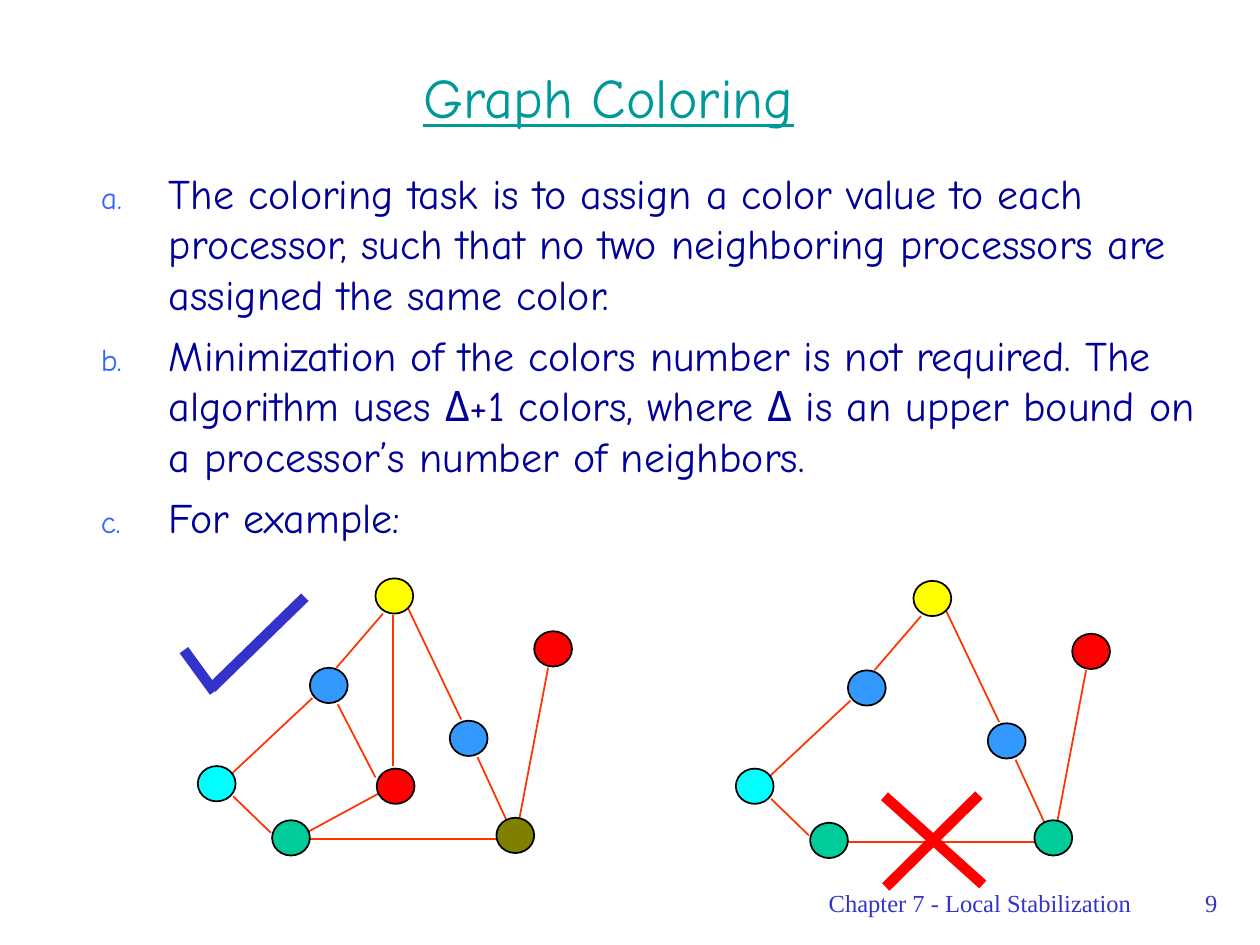
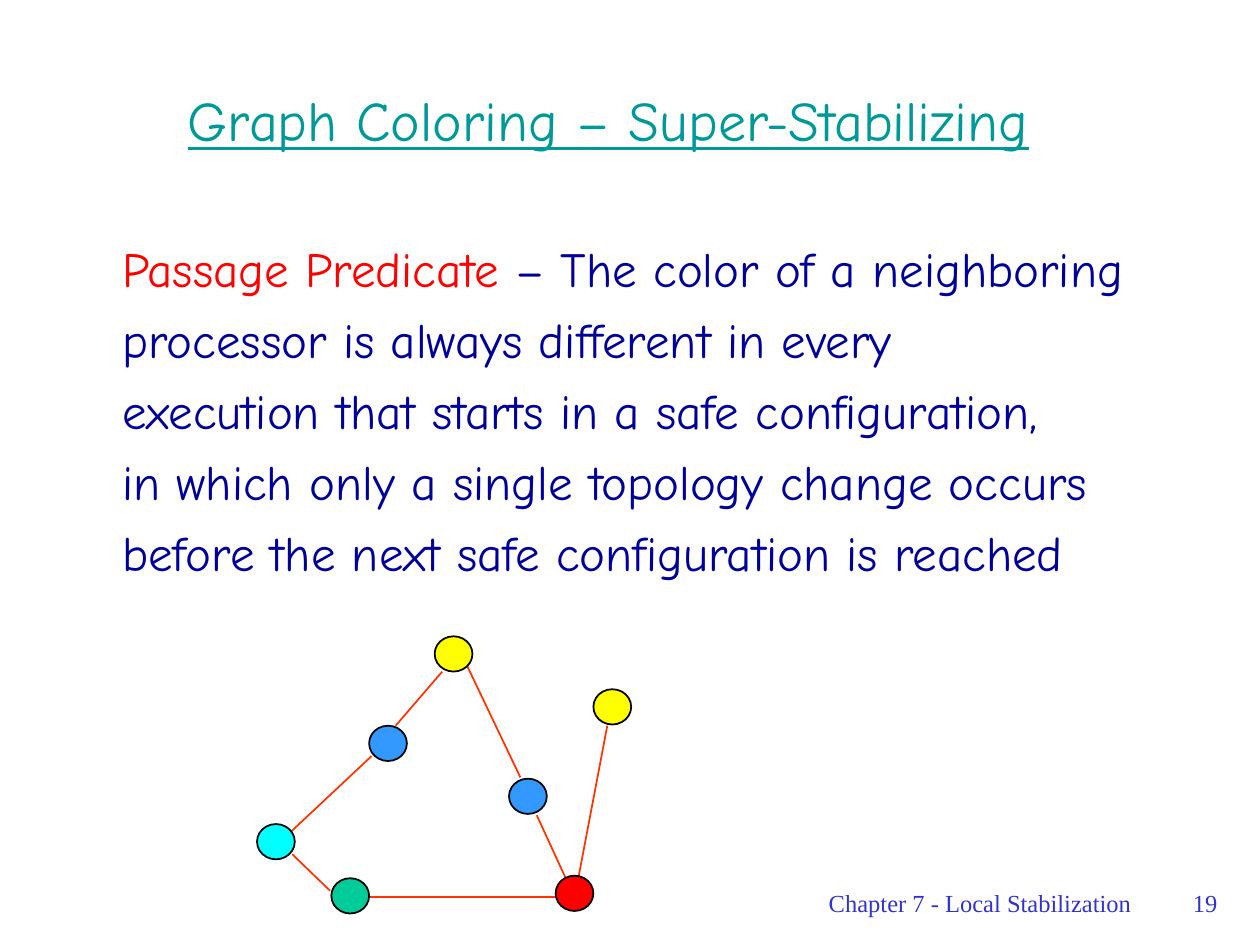
from lxml import etree
from pptx import Presentation
from pptx.dml.color import RGBColor
from pptx.enum.shapes import MSO_CONNECTOR, MSO_SHAPE
from pptx.enum.text import MSO_ANCHOR, MSO_AUTO_SIZE, PP_ALIGN
from pptx.oxml.ns import qn
from pptx.util import Inches, Pt

LINE, OVAL = MSO_CONNECTOR.STRAIGHT, MSO_SHAPE.OVAL
LEFT, MID, RIGHT = PP_ALIGN.LEFT, PP_ALIGN.CENTER, PP_ALIGN.RIGHT
TOP, HALF = MSO_ANCHOR.TOP, MSO_ANCHOR.MIDDLE
FIXED = MSO_AUTO_SIZE.NONE

COLS, ROWS = 100, 75
CELL = Inches(0.1)
HAND, SERIF = "Comic Neue", "Times New Roman"
TEAL, NAVY, INDIGO, SKY = "009999", "000099", "3333CC", "3366FF"
RED, WIRE, BLACK = "FF0000", "FF3300", "000000"
YELLOW, BLUE, GREEN = "FFFF00", "3399FF", "00CC99"
CYAN, OLIVE = "00FFFF", "808000"

NODE = (3, 2.8)
SPOTS = {
    "top": (14.1, 0), "east": (20, 11.3), "far": (26.7, 4.2),
    "base": (23.7, 19), "hub": (14.2, 15.1), "west": (8.9, 7.1),
    "low": (5.9, 19.2), "edge": (0, 14.9),
}
RING = [
    ((14.7, 2.8), (11, 7.1)), ((2.8, 17.3), (5.8, 20.2)),
    ((9.1, 9.5), (2.7, 15.5)), ((27.8, 7.1), (25.5, 19.2)),
    ((20.9, 11.2), (16.7, 2.4)), ((22.2, 14.2), (24.5, 19.2)),
    ((8.9, 20.7), (23.7, 20.7)),
]
SPOKES = [
    ((15.5, 2.9), (15.5, 14.9)), ((14.5, 17), (8.6, 20.2)),
    ((11.1, 10), (14.1, 15.8)),
]
TICK = [((2.2, 7.2), (9.6, 0)), ((2.4, 7.5), (0, 4.2))]
CROSS = [((0.1, 7.3), (7.5, 0)), ((7.8, 7.1), (0, 0.1))]
BASIC = {"top": YELLOW, "east": BLUE, "west": BLUE, "low": GREEN, "edge": CYAN}


def grid(*cells):
    return [round(cell * CELL) for cell in cells]


def tint(code):
    return RGBColor.from_string(code)


def style(run, size, color, face=HAND):
    run.font.size, run.font.name = Pt(size), face
    run.font.color.rgb = tint(color)


def move(shape, box, anchor=TOP):
    shape.left, shape.top, shape.width, shape.height = grid(*box)
    frame = shape.text_frame
    frame.auto_size, frame.word_wrap = FIXED, True
    frame.vertical_anchor = anchor
    return frame


def foot(slide, box, text):
    frame = move(slide.shapes.add_textbox(*grid(*box)), box)
    para = frame.paragraphs[0]
    para.text, para.alignment = text, RIGHT
    style(para.runs[0], 14, INDIGO, SERIF)


def start(deck, title, row, page):
    slide = deck.slides.add_slide(deck.slide_layouts[1])
    para = move(slide.shapes.title, (5.8, row, 85, 10.3), HALF).paragraphs[0]
    para.text, para.alignment = title, MID
    style(para.runs[0], 32, TEAL)
    para.runs[0].font.underline = True
    foot(slide, (34.3, 70, 56.5, 5), "Chapter 7 - Local Stabilization")
    foot(slide, (90.8, 70, 6.8, 5), page)
    return slide


def mark(para, letters):
    props = para._p.get_or_add_pPr()
    if not letters:
        etree.SubElement(props, qn("a:buNone"))
        return
    color = etree.SubElement(props, qn("a:buClr"))
    etree.SubElement(color, qn("a:srgbClr"), val=SKY)
    etree.SubElement(props, qn("a:buSzPct"), val="75000")
    etree.SubElement(props, qn("a:buFontTx"))
    etree.SubElement(props, qn("a:buAutoNum"), type="alphaLcPeriod")


def body(slide, box, items, size, gap, inset, hang, letters):
    frame = move(slide.placeholders[1], box)
    frame.text = "\n".join(items)
    for para in frame.paragraphs:
        para.level, para.alignment = 1, LEFT
        para.space_before = Pt(gap)
        props = para._p.get_or_add_pPr()
        margin, indent = grid(inset, hang)
        props.set("marL", str(margin))
        props.set("indent", str(indent))
        mark(para, letters)
        for run in para.runs:
            style(run, size, NAVY)
    return frame


def wires(shapes, box, pairs, color, width):
    left, top = box
    for (ax, ay), (bx, by) in pairs:
        ends = grid(left + ax, top + ay, left + bx, top + by)
        wire = shapes.add_connector(LINE, *ends)
        wire.line.color.rgb = tint(color)
        wire.line.width = Pt(width)
        etree.SubElement(wire._element.spPr, qn("a:effectLst"))


def graph(shapes, box, hues, pairs):
    left, top = box
    wires(shapes, box, pairs, WIRE, 1)
    for name, hue in hues.items():
        x, y = SPOTS[name]
        node = shapes.add_shape(OVAL, *grid(left + x, top + y, *NODE))
        node.shadow.inherit = False
        node.fill.solid()
        node.fill.fore_color.rgb = tint(hue)
        node.line.color.rgb = tint(BLACK)
        node.line.width = Pt(1)


def group(slide):
    return slide.shapes.add_group_shape().shapes


def task(deck):
    slide = start(deck, "Graph Coloring", 2.5, "9")
    items = [
        "The coloring task is to assign a color value to each processor, "
        "such that no two neighboring processors are assigned the same color.",
        "Minimization of the colors number is not required. The algorithm uses "
        "Δ+1 colors, where Δ is an upper bound on a processor’s number of "
        "neighbors.",
        "For example:",
    ]
    body(slide, (2, 12.8, 96, 56.6), items, 24, 6, 10.4, -5.4, True)
    good = {**BASIC, "far": RED, "base": OLIVE, "hub": RED}
    bad = {**BASIC, "far": RED, "base": GREEN}
    graph(group(slide), (15.7, 45.9), good, RING + SPOKES)
    graph(group(slide), (58.4, 46.1), bad, RING)
    wires(group(slide), (70.2, 63.1), CROSS, RED, 6)
    wires(group(slide), (14.6, 47.4), TICK, INDIGO, 6)


def passage(deck):
    slide = start(deck, "Graph Coloring – Super-Stabilizing", 4.3, "19")
    term = "Passage Predicate"
    items = [
        term,
        "processor is always different in every",
        "execution that starts in a safe configuration,",
        "in which only a single topology change occurs",
        "before the next safe configuration is reached",
    ]
    frame = body(slide, (2, 18.4, 96, 51), items, 28, 7, 6.7, 0, False)
    para = frame.paragraphs[0]
    style(para.runs[0], 28, RED)
    rest = para.add_run()
    rest.text = " – The color of a neighboring"
    style(rest, 28, NAVY)
    hues = {**BASIC, "far": YELLOW, "base": RED}
    graph(slide.shapes, (20.4, 50.5), hues, RING)


deck = Presentation()
deck.slide_width, deck.slide_height = grid(COLS, ROWS)
task(deck)
passage(deck)
deck.save("out.pptx")
